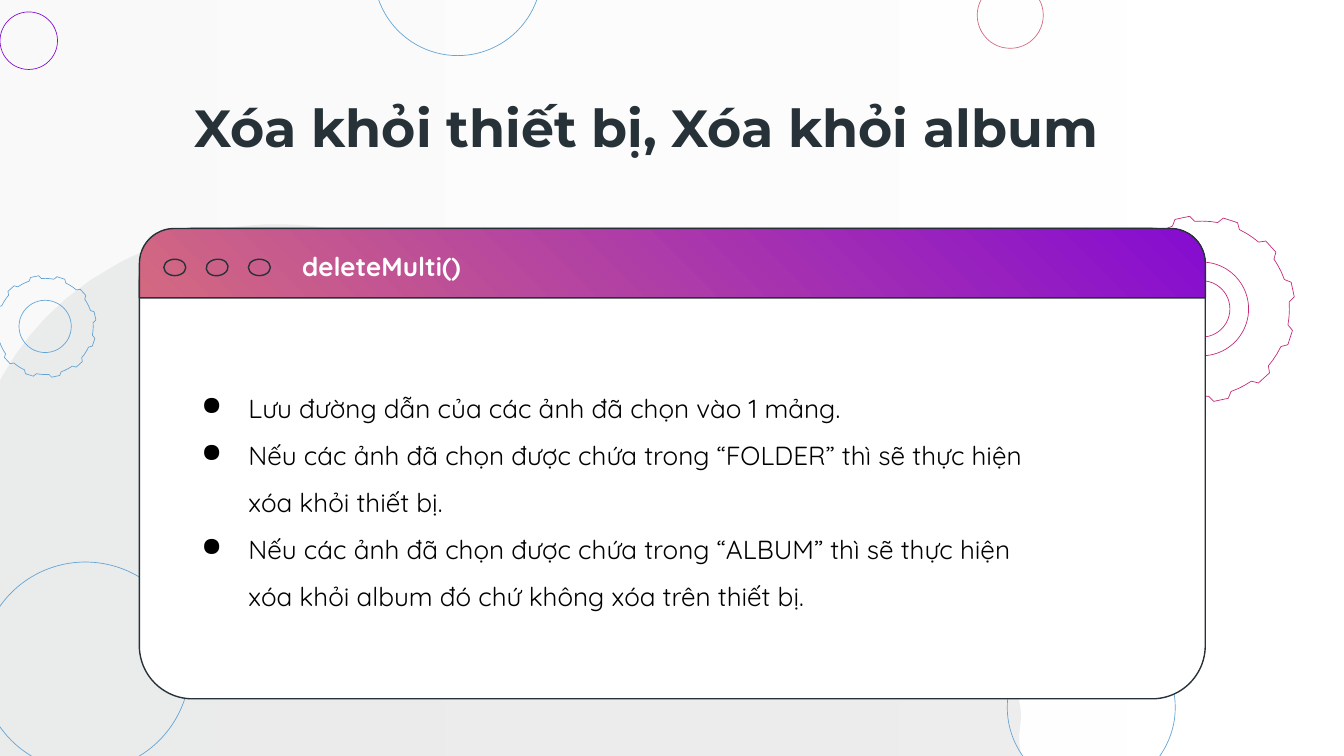
"""Build the deleteMulti() slide: a code window over thin circles and gears."""
import math

import lxml.etree
import pptx
import pptx.dml.color
import pptx.enum.shapes
import pptx.enum.text
import pptx.oxml.ns
import pptx.util

Pt = pptx.util.Pt
Kind = pptx.enum.shapes.MSO_SHAPE
Anchor = pptx.enum.text.MSO_ANCHOR
COLORS = {
    "white": "FFFFFF", "mist": "F3F3F3", "cloud": "D6D7D7", "ink": "263238",
    "black": "000000", "blue": "63A4D5", "violet": "860CD1",
    "rose": "D36980", "pink": "C52878",
}
TITLE = {"name": "Montserrat", "size": Pt(28), "bold": True}
BODY = {"name": "Quicksand", "size": Pt(14), "bold": False}
LABEL = {**BODY, "bold": True}
CLOUD = [
    (149, 120.2),
    (186.5, 120.2), (220.3, 132.5), (239, 153.4),
    (271.4, 190.8), (269.3, 255.6), (303.8, 255.6),
    (329.8, 254.2), (344.2, 226.8), (370.1, 226.8),
    (378, 226.8), (387.4, 230.4), (398.9, 236.9),
    (447.1, 267.1), (421.9, 308.2), (425.5, 334.1),
    (427, 340.6), (429.8, 342.7), (434.9, 342.7),
    (447.1, 342.7), (468.7, 328.3), (490.3, 328.3),
    (494.6, 328.3), (498.2, 329), (502.6, 330.5),
    (535, 341.3), (550.1, 371.5), (546.5, 389.5),
    (542.9, 407.5), (558.7, 429.8), (558.7, 429.8),
    (558.7, 429.8), (-18, 429.8), (-18, 429.8),
    (-18, 429.8), (-26.6, 313.2), (-12.2, 235.4),
    (-12.2, 235.4), (-0.7, 175), (63.4, 141.1),
    (90.7, 126.7), (121, 120.2), (149, 120.2),
]
RINGS = [
    (584.6, 379, 45, "blue"), (15.4, 21.8, 15.4, "violet"),
    (541.2, 8.2, 17.7, "rose"), (245.2, -15.2, 45, "blue"),
    (45.7, 357.1, 56, "blue"),
]
GEARS = [
    (24.2, 174.9, 27.4, [14], "blue"),
    (643.8, 165.5, 50, [25.1, 15.1], "pink"),
]
STEPS = [
    "Lưu đường dẫn của các ảnh đã chọn vào 1 mảng.",
    "Nếu các ảnh đã chọn được chứa trong “FOLDER” thì sẽ thực hiện xóa khỏi thiết bị.",
    "Nếu các ảnh đã chọn được chứa trong “ALBUM” thì sẽ thực hiện xóa khỏi album đó chứ không xóa trên thiết bị.",
]


def color(name):
    """Return the named colour."""
    return pptx.dml.color.RGBColor.from_string(COLORS[name])


def curve(nodes, steps=12):
    """Sample a chain of cubic curves."""
    points = [nodes[0]]
    for i in range(0, len(nodes) - 1, 3):
        for k in range(1, steps + 1):
            t = k / steps
            parts = ((1 - t) ** 3, 3 * t * (1 - t) ** 2, 3 * t * t * (1 - t), t ** 3)
            points.append(tuple(sum(w * node[axis] for w, node in zip(parts, nodes[i:i + 4]))
                                for axis in (0, 1)))
    return points


def cog(x, y, size, teeth=12):
    """Return the rim of a gear, tooth by tooth."""
    tooth = [(-7.5, 0.94), (-4.6, 1), (4.6, 1), (7.5, 0.94), (12.5, 0.94), (17.5, 0.94)]
    points = []
    for i in range(teeth):
        for turn, reach in tooth:
            angle = math.radians(i * 360 / teeth - 12 + turn)
            points.append((x + size * reach * math.cos(angle),
                           y + size * reach * math.sin(angle)))
    return points


class Deck:
    """Hold the style and the current slide."""

    def __init__(self):
        """Open a deck with one titled slide."""
        self.show = pptx.Presentation()
        self.show.slide_width, self.show.slide_height = Pt(720), Pt(405)
        self.slide = self.show.slides.add_slide(self.show.slide_layouts[5])
        self.shapes = self.slide.shapes

    def paint(self, shape, fill=None, line=None, width=0.75, angle=0, alpha=None):
        """Set the fill and line of a shape."""
        shape.shadow.inherit = False
        if isinstance(fill, tuple):
            shape.fill.gradient()
            shape.fill.gradient_angle = angle
            for stop, name in zip(shape.fill.gradient_stops, fill):
                stop.color.rgb = color(name)
        elif fill:
            shape.fill.solid()
            shape.fill.fore_color.rgb = color(fill)
        else:
            shape.fill.background()
        if alpha:
            for node in shape.element.spPr.iter(pptx.oxml.ns.qn("a:srgbClr")):
                lxml.etree.SubElement(node, pptx.oxml.ns.qn("a:alpha"), val=str(alpha * 1000))
        if line:
            shape.line.color.rgb = color(line)
            shape.line.width = Pt(width)
        else:
            shape.line.fill.background()

    def block(self, kind, box, adjust=(), turn=0, **style):
        """Add a preset shape."""
        shape = self.shapes.add_shape(kind, *map(Pt, box))
        for i, value in enumerate(adjust):
            shape.adjustments[i] = value
        shape.rotation = turn
        self.paint(shape, **style)

    def ring(self, x, y, size, line):
        """Add a thin circle around a centre."""
        self.block(Kind.OVAL, (x - size, y - size, 2 * size, 2 * size), line=line, width=0.36)

    def outline(self, points, **style):
        """Add a closed free shape."""
        spots = [(Pt(x), Pt(y)) for x, y in points]
        maker = self.shapes.build_freeform(*spots[0])
        maker.add_line_segments(spots[1:], close=True)
        self.paint(maker.convert_to_shape(), **style)

    def letter(self, shape, box, lines, font, shade, anchor=Anchor.TOP, bullet=None):
        """Place a text shape and fill in its lines."""
        for key, value in zip(("left", "top", "width", "height"), box):
            setattr(shape, key, Pt(value))
        frame = shape.text_frame
        form = {"word_wrap": True, "auto_size": pptx.enum.text.MSO_AUTO_SIZE.NONE,
                "vertical_anchor": anchor}
        form.update(dict.fromkeys(
            ("margin_left", "margin_top", "margin_right", "margin_bottom"), Pt(7.2)))
        for key, value in form.items():
            setattr(frame, key, value)
        for i, line in enumerate(lines):
            para = frame.add_paragraph() if i else frame.paragraphs[0]
            para.alignment = pptx.enum.text.PP_ALIGN.LEFT
            if bullet:
                self.mark(para, bullet)
            run = para.add_run()
            run.text = line
            for key, value in font.items():
                setattr(run.font, key, value)
            run.font.color.rgb = color(shade)

    def mark(self, para, sign):
        """Give a paragraph a bullet and a hanging indent."""
        para.line_spacing = 1.5
        props = para._p.get_or_add_pPr()
        props.set("marL", str(Pt(36)))
        props.set("indent", str(Pt(-25.2)))
        tint = lxml.etree.SubElement(props, pptx.oxml.ns.qn("a:buClr"))
        lxml.etree.SubElement(tint, pptx.oxml.ns.qn("a:srgbClr"), val=COLORS["black"])
        lxml.etree.SubElement(props, pptx.oxml.ns.qn("a:buChar"), char=sign)

    def title(self, box, text):
        """Format the title and raise it above the backdrop."""
        shape = self.shapes.title
        self.shapes.element.append(shape.element)
        self.letter(shape, box, [text], TITLE, "ink", Anchor.MIDDLE)

    def text(self, box, lines, font, shade, **style):
        """Add a text box."""
        self.letter(self.shapes.add_textbox(*map(Pt, box)), box, lines, font, shade, **style)


def main():
    """Draw the slide and save it."""
    deck = Deck()
    deck.block(Kind.RECTANGLE, (-5, -5, 730, 415), fill=("white", "mist"), angle=180, alpha=41)
    deck.outline(curve(CLOUD), fill="cloud", alpha=41)
    for ring in RINGS:
        deck.ring(*ring)
    for x, y, size, holes, line in GEARS:
        deck.outline(cog(x, y, size), line=line, width=0.36)
        for hole in holes:
            deck.ring(x, y, hole, line)
    deck.title((97.2, 53.3, 508.3, 28.8), "Xóa khỏi thiết bị, Xóa khỏi album")
    deck.block(Kind.ROUNDED_RECTANGLE, (74.7, 122.4, 571, 252), (0.113,),
               fill="white", line="ink")
    deck.block(Kind.ROUND_2_SAME_RECTANGLE, (74.7, 122.4, 571, 37.2), (0, 0.5), 180,
               fill=("rose", "violet"), angle=225, line="ink")
    for i, turn in enumerate((0, 352.5, 0)):
        deck.block(Kind.OVAL, (87.8 + 22.65 * i, 138.9, 11.8, 8.8), turn=turn, line="ink")
    deck.text((90, 194.4, 480.2, 133.2), STEPS, BODY, "black", bullet="●")
    deck.text((154.8, 126.7, 151.9, 31.7), ["deleteMulti()"], LABEL, "white")
    deck.show.save("out.pptx")


if __name__ == "__main__":
    main()
